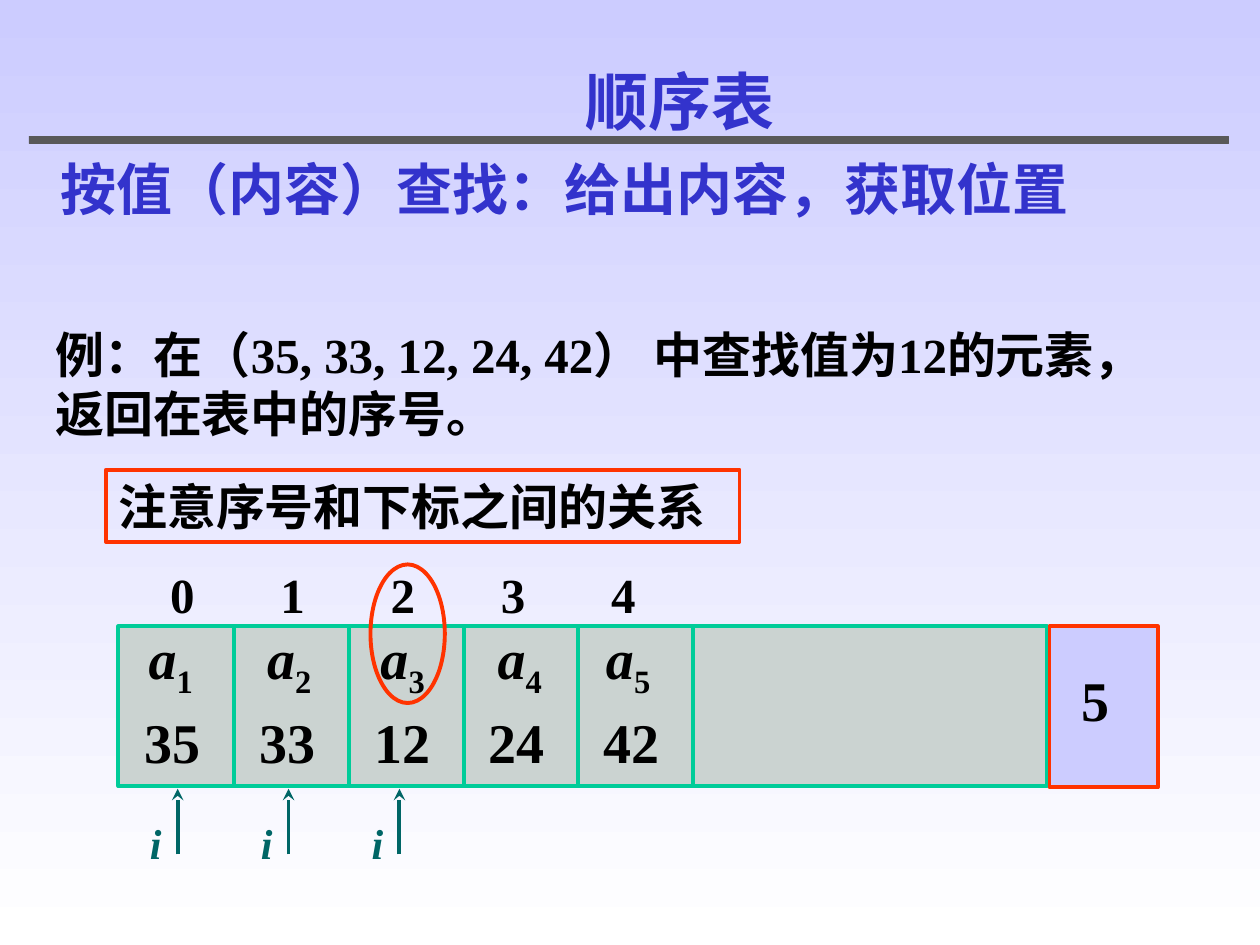
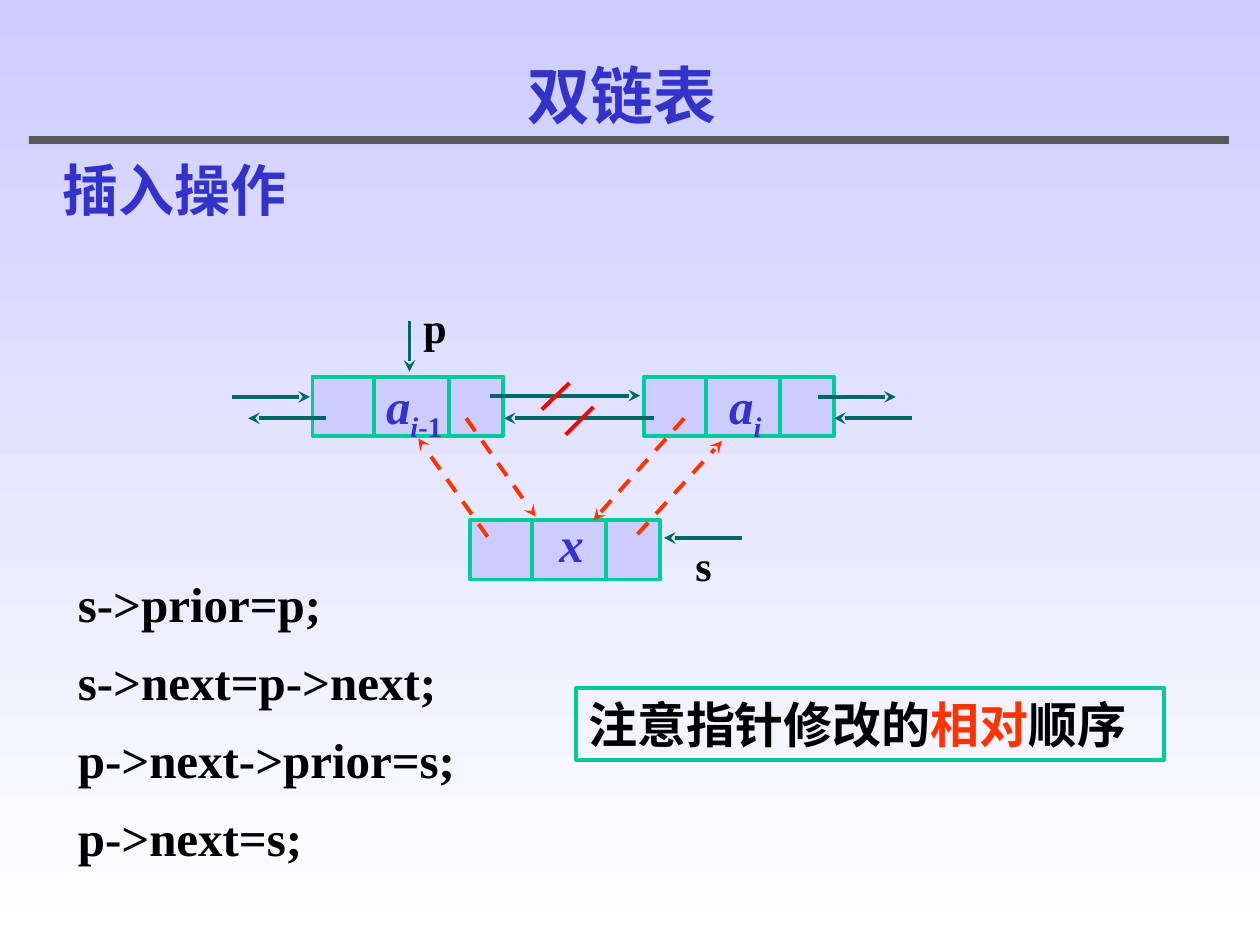
from lxml import etree
from pptx import Presentation
from pptx.dml.color import RGBColor
from pptx.enum.dml import MSO_LINE
from pptx.enum.shapes import MSO_CONNECTOR, MSO_SHAPE
from pptx.enum.text import MSO_ANCHOR, PP_ALIGN
from pptx.oxml.ns import qn
from pptx.util import Inches, Pt

RECT, OVAL = MSO_SHAPE.RECTANGLE, MSO_SHAPE.OVAL
STRAIGHT, DASH = MSO_CONNECTOR.STRAIGHT, MSO_LINE.DASH
TOP, MIDDLE = MSO_ANCHOR.TOP, MSO_ANCHOR.MIDDLE
LEFT, CENTER = PP_ALIGN.LEFT, PP_ALIGN.CENTER

# Shared colours and text styles
LAVENDER, WHITE, BLACK = "CCCCFF", "FFFFFF", "000000"
BLUE, GREEN, TEAL = "3333CC", "00CC99", "006666"
ORANGE, RED, GRAY, RULE_GRAY = "FF3300", "FF0000", "CBD3D1", "595959"
SERIF, SANS = "Times New Roman", "Arial"
LINE_WIDTH = 2.25
PADDING = (0.1, 0.05, 0.1, 0.05)
NO_SIDES = (0, 0.05, 0, 0.05)
NONE = (0, 0, 0, 0)
NODE_PADDING = (0.2, 0, 0.1, 0.09)


def style(size, color=BLACK, name=SERIF, italic=False):
    return {"size": size, "color": color, "name": name, "bold": True, "italic": italic}


TITLE = style(36, BLUE)
HEADING = style(32, BLUE, SANS)
BODY = style(28)
NOTE = style(28, name=SANS)
CELL = style(32)
ELEMENT = style(32, italic=True)
NODE = style(28, BLUE, italic=True)
SUB = {"baseline": -25000}
SUB_UPRIGHT = {"baseline": -25000, "italic": False}

# Content: sequential list
EXAMPLE = "例：在（35, 33, 12, 24, 42） 中查找值为12的元素，返回在表中的序号。"
INDEX_NOTE = "注意序号和下标之间的关系"
VALUES = [35, 33, 12, 24, 42]
LIST_LENGTH = "5"
ELEMENT_LEFTS = [1.18, 2.12, 3.02, 3.95, 4.81]
CELL_PITCH, INDEX_PITCH, CURSOR_PITCH = 0.91, 0.875, 0.88
CURSOR_COUNT = 3

# Content: doubly linked list
STATEMENTS = ["s->prior=p;", "s->next=p->next;", "p->next->prior=s;", "p->next=s;"]
STATEMENT_PITCH = 0.62
ORDER_NOTE = [("注意指针修改的", {}), ("相对", {"color": ORANGE}), ("顺序", {})]
NODES = [
    (2.48, 2.99, [("a", {}), ("i", SUB), ("-1", SUB_UPRIGHT)]),
    (5.11, 2.99, [("a", {}), ("i", SUB)]),
    (3.73, 4.13, [("x", {})]),
]
NODE_WIDTH, NODE_HEIGHT, FIELD_OFFSETS = 1.51, 0.47, (0.49, 1.08)
# Each link runs from its tail to its arrowhead: x1, y1, x2, y2
LINKS = [
    (1.84, 3.15, 2.46, 3.15), (3.89, 3.14, 5.08, 3.14), (6.49, 3.15, 7.11, 3.15),
    (5.19, 3.32, 4, 3.32), (7.24, 3.32, 6.62, 3.32), (2.59, 3.32, 1.97, 3.32),
    (3.25, 2.55, 3.25, 2.95), (5.89, 4.27, 5.27, 4.27),
]
NEW_LINKS = [
    (3.87, 4.26, 3.32, 3.48), (5.06, 4.24, 5.73, 3.5),
    (5.43, 3.32, 4.71, 4.13), (3.7, 3.32, 4.25, 4.1),
]
CUTS = [(4.71, 3.23, 4.49, 3.45), (4.52, 3.04, 4.3, 3.25)]
POINTERS = [("p", 3.36, 2.39), ("s", 5.52, 4.28)]


def rgb(color):
    return RGBColor.from_string(color)


def write(shape, runs, font, padding=PADDING, align=LEFT, anchor=TOP, spacing=None):
    """Put one paragraph of runs, each (text, overrides), into a shape."""
    frame = shape.text_frame
    frame.word_wrap = True
    frame.vertical_anchor = anchor
    for side, inset in zip(("left", "top", "right", "bottom"), padding):
        setattr(frame, f"margin_{side}", Inches(inset))
    paragraph = frame.paragraphs[0]
    paragraph.alignment = align
    if spacing:
        paragraph.line_spacing = spacing
    if isinstance(runs, str):
        runs = [(runs, {})]
    for words, overrides in runs:
        run = paragraph.add_run()
        run.text = words
        values = {**font, **overrides}
        run.font.color.rgb = rgb(values.pop("color"))
        run.font.size = Pt(values.pop("size"))
        baseline = values.pop("baseline", None)
        if baseline:
            run._r.get_or_add_rPr().set("baseline", str(baseline))
        for key, value in values.items():
            setattr(run.font, key, value)
    return paragraph


def add_text(slide, box, runs, font, **layout):
    return write(slide.shapes.add_textbox(*map(Inches, box)), runs, font, **layout)


def add_box(slide, box, line, fill=None, kind=RECT, width=LINE_WIDTH):
    shape = slide.shapes.add_shape(kind, *map(Inches, box))
    shape.shadow.inherit = False
    if fill:
        shape.fill.solid()
        shape.fill.fore_color.rgb = rgb(fill)
    else:
        shape.fill.background()
    shape.line.color.rgb = rgb(line)
    shape.line.width = Pt(width)
    return shape


def add_line(slide, ends, color, arrow=False, dashed=False):
    connector = slide.shapes.add_connector(STRAIGHT, *map(Inches, ends))
    connector.line.color.rgb = rgb(color)
    connector.line.width = Pt(LINE_WIDTH)
    if dashed:
        connector.line.dash_style = DASH
    if arrow:
        etree.SubElement(connector.line._get_or_add_ln(), qn("a:tailEnd"), type="stealth")
    etree.SubElement(connector._element.spPr, qn("a:effectLst"))


def add_slide(deck, title, title_box, title_layout, heading, heading_box):
    """Start a slide with the gradient, rule, title and heading."""
    slide = deck.slides.add_slide(deck.slide_layouts[6])
    fill = slide.background.fill
    fill.gradient()
    fill.gradient_angle = 270
    for stop, color in zip(fill.gradient_stops, (LAVENDER, WHITE)):
        stop.color.rgb = rgb(color)
    add_box(slide, (0.23, 1.08, 9.52, 0.06), RULE_GRAY, RULE_GRAY, width=0.5)
    add_text(slide, title_box, title, TITLE, align=CENTER, **title_layout)
    add_text(slide, heading_box, heading, HEADING, anchor=MIDDLE)
    return slide


def build_sequential_list(deck):
    slide = add_slide(deck, "顺序表", (1.31, 0.5, 8.17, 0.6), {"padding": (0.1, 0, 0.1, 0)},
                      "按值（内容）查找：给出内容，获取位置", (0.38, 1.18, 9.36, 0.62))
    add_text(slide, (0.34, 2.53, 9.17, 1.04), EXAMPLE, BODY)

    # Storage and its length
    add_box(slide, (0.94, 4.97, 7.37, 1.27), GREEN, GRAY)
    length = add_box(slide, (8.33, 4.97, 0.86, 1.28), ORANGE, LAVENDER)
    write(length, LIST_LENGTH, CELL, padding=(0.25, 0.31, 0.1, 0.12))

    # Cells: divider, element name and value
    for i, value in enumerate(VALUES):
        shift = i * CELL_PITCH
        add_line(slide, (1.86 + shift, 4.98, 1.86 + shift, 6.24), GREEN)
        add_text(slide, (ELEMENT_LEFTS[i], 4.9, 0.54, 0.71),
                 [("a", {}), (str(i + 1), SUB_UPRIGHT)], ELEMENT, padding=NO_SIDES)
        add_text(slide, (1.15 + shift, 5.57, 0.54, 0.64), str(value), CELL, padding=NO_SIDES)

    # Indexes, one tab stop per cell
    indexes = "\t".join(str(i) for i in range(len(VALUES)))
    row = slide.shapes.add_textbox(*map(Inches, (1.35, 4.43, 6.51, 0.57)))
    tabs = etree.SubElement(row.text_frame.paragraphs[0]._p.get_or_add_pPr(), qn("a:tabLst"))
    for i in range(1, len(VALUES)):
        etree.SubElement(tabs, qn("a:tab"), pos=str(Inches(i * INDEX_PITCH)), algn="l")
    write(row, indexes, BODY, padding=NO_SIDES)

    # Moving cursor
    for i in range(CURSOR_COUNT):
        x = 1.41 + i * CURSOR_PITCH
        add_line(slide, (x, 6.78, x, 6.26), TEAL, arrow=True)
        add_text(slide, (x - 0.22, 6.49, 0.22, 0.4), "i", style(24, TEAL, italic=True),
                 padding=NONE)

    # Found index and the remark on it
    add_box(slide, (2.94, 4.48, 0.59, 1.1), ORANGE, kind=OVAL)
    write(add_box(slide, (0.84, 3.73, 5.03, 0.57), ORANGE), INDEX_NOTE, NOTE)


def build_linked_list(deck):
    slide = add_slide(deck, "双链表", (0.98, 0.4, 7.92, 0.7), {"anchor": MIDDLE},
                      "插入操作", (0.4, 1.18, 4.75, 0.64))
    for i, statement in enumerate(STATEMENTS):
        add_text(slide, (0.52, 4.5 + i * STATEMENT_PITCH, 4, 0.57), statement, BODY)

    # Nodes with prior, data and next fields
    for x, y, label in NODES:
        node = add_box(slide, (x, y, NODE_WIDTH, NODE_HEIGHT), GREEN, LAVENDER)
        write(node, label, NODE, padding=NODE_PADDING, align=CENTER, spacing=0.9)
        for offset in FIELD_OFFSETS:
            add_line(slide, (x + offset, y, x + offset, y + NODE_HEIGHT), GREEN)

    # Existing links, new links and cut marks
    for link in LINKS:
        add_line(slide, link, TEAL, arrow=True)
    for link in NEW_LINKS:
        add_line(slide, link, ORANGE, arrow=True, dashed=True)
    for cut in CUTS:
        add_line(slide, cut, RED)
    for name, x, y in POINTERS:
        add_text(slide, (x, y, 0.27, 0.4), name, style(24), padding=NONE)

    write(add_box(slide, (4.57, 5.46, 4.67, 0.57), GREEN), ORDER_NOTE, NOTE)


def main():
    deck = Presentation()
    deck.slide_width, deck.slide_height = Inches(10), Inches(7.5)
    build_sequential_list(deck)
    build_linked_list(deck)
    deck.save("out.pptx")


if __name__ == "__main__":
    main()
